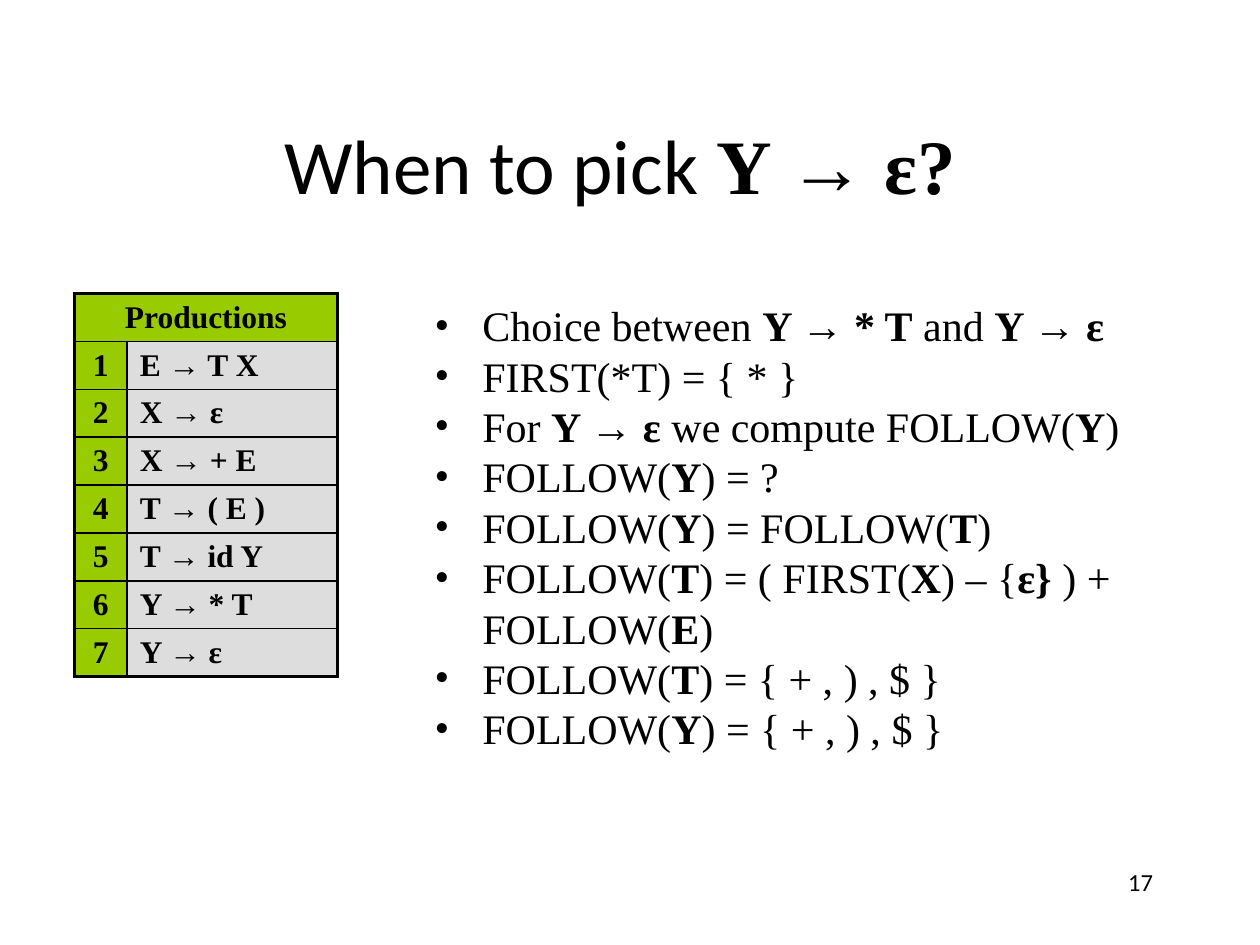
from dataclasses import dataclass

from lxml import etree
from pptx import Presentation
from pptx import util as u
from pptx.dml.color import RGBColor
from pptx.enum import text
from pptx.oxml.ns import qn


@dataclass(frozen=True)
class Theme:
    ink: RGBColor = RGBColor(0x00, 0x00, 0x00)
    green: RGBColor = RGBColor(0x99, 0xCC, 0x00)
    grey: RGBColor = RGBColor(0xDD, 0xDD, 0xDD)
    sans: str = "Calibri"
    serif: str = "Times New Roman"
    title: float = 44
    body: float = 24
    body_line: float = 28.8
    table: float = 18
    number: float = 14
    outer_line: float = 2.25
    inner_line: float = 1


class SlideBuilder:
    """Holds the theme and the current slide. Underscores in text toggle bold."""

    def __init__(self, slide, theme):
        self.slide = slide
        self.theme = theme

    def format_run(self, run, size, font, bold=False):
        run.font.size = u.Pt(size)
        run.font.name = font
        run.font.bold = bold
        run.font.color.rgb = self.theme.ink

    def add_runs(self, paragraph, marked_text, size, font, bold_font=None):
        for index, part in enumerate(marked_text.split("_")):
            if part:
                bold = index % 2 == 1
                run = paragraph.add_run()
                run.text = part
                self.format_run(run, size, bold_font if bold and bold_font else font, bold)

    def text_box(self, left, top, width, height):
        shape = self.slide.shapes.add_textbox(
            u.Inches(left), u.Inches(top), u.Inches(width), u.Inches(height))
        shape.text_frame.word_wrap = True
        return shape.text_frame

    def title(self, marked_text, *box):
        frame = self.text_box(*box)
        frame.vertical_anchor = text.MSO_ANCHOR.MIDDLE
        paragraph = frame.paragraphs[0]
        paragraph.alignment = text.PP_ALIGN.CENTER
        self.add_runs(paragraph, marked_text, self.theme.title, self.theme.sans, self.theme.serif)

    def page_number(self, number, *box):
        paragraph = self.text_box(*box).paragraphs[0]
        paragraph.alignment = text.PP_ALIGN.RIGHT
        self.add_runs(paragraph, number, self.theme.number, self.theme.sans)

    def bullets(self, items, indent, *box):
        frame = self.text_box(*box)
        for index, item in enumerate(items):
            paragraph = frame.add_paragraph() if index else frame.paragraphs[0]
            paragraph.line_spacing = u.Pt(self.theme.body_line)
            properties = paragraph._p.get_or_add_pPr()
            properties.set("marL", str(u.Inches(indent)))
            properties.set("indent", str(-u.Inches(indent)))
            etree.SubElement(properties, qn("a:buFont"), typeface=self.theme.serif)
            etree.SubElement(properties, qn("a:buChar"), char="•")
            self.add_runs(paragraph, item, self.theme.body, self.theme.serif)

    def borders(self, cell, outer_sides):
        properties = cell._tc.get_or_add_tcPr()
        for position, side in enumerate("LRTB"):
            width = self.theme.outer_line if side in outer_sides else self.theme.inner_line
            line = etree.Element(qn(f"a:ln{side}"), w=str(u.Pt(width)))
            fill = etree.SubElement(line, qn("a:solidFill"))
            etree.SubElement(fill, qn("a:srgbClr"), val=str(self.theme.ink))
            properties.insert(position, line)

    def cell(self, cell, content, fill, alignment, outer_sides):
        cell.margin_top = cell.margin_bottom = u.Inches(0.04)
        cell.vertical_anchor = text.MSO_ANCHOR.MIDDLE
        cell.fill.solid()
        cell.fill.fore_color.rgb = fill
        self.borders(cell, outer_sides)
        paragraph = cell.text_frame.paragraphs[0]
        paragraph.text = content
        paragraph.alignment = alignment
        for run in paragraph.runs:
            self.format_run(run, self.theme.table, self.theme.serif, bold=True)

    def productions(self, heading, rules, left, top, column_widths, row_height):
        rows = len(rules) + 1
        table = self.slide.shapes.add_table(
            rows, 2, u.Inches(left), u.Inches(top),
            u.Inches(sum(column_widths)), u.Inches(rows * row_height)).table
        table.first_row = table.horz_banding = False
        for column, width in zip(table.columns, column_widths):
            column.width = u.Inches(width)
        for row in table.rows:
            row.height = u.Inches(row_height)

        # Heading across both columns
        center, left_aligned = text.PP_ALIGN.CENTER, text.PP_ALIGN.LEFT
        table.cell(0, 0).merge(table.cell(0, 1))
        self.cell(table.cell(0, 0), heading, self.theme.green, center, "LRT")
        self.borders(table.cell(0, 1), "RT")

        # Numbered rules
        for number, rule in enumerate(rules, start=1):
            bottom = "B" if number == len(rules) else ""
            self.cell(table.cell(number, 0), str(number), self.theme.green, center, "L" + bottom)
            self.cell(table.cell(number, 1), rule, self.theme.grey, left_aligned, "R" + bottom)


def main():
    presentation = Presentation()
    presentation.slide_width = u.Inches(10)
    presentation.slide_height = u.Inches(7.5)
    slide = presentation.slides.add_slide(presentation.slide_layouts[6])
    builder = SlideBuilder(slide, Theme())

    # Title and page number
    builder.title("When to pick _Y → ε? _", 0.75, 0.67, 8.5, 1.25)
    builder.page_number("17", 7.17, 6.83, 2.08, 0.5)

    # Grammar
    rules = ["E → T X", "X → ε", "X → + E", "T → ( E )", "T → id Y", "Y → * T", "Y → ε"]
    builder.productions("Productions", rules, 0.59, 2.33, (0.42, 1.67), 0.38)

    # Reasoning steps
    steps = [
        "Choice between _Y → * T_ and _Y → ε_",
        "FIRST(*T) = { * }",
        "For _Y → ε_ we compute FOLLOW(_Y_)",
        "FOLLOW(_Y_) = ?",
        "FOLLOW(_Y_) = FOLLOW(_T_)",
        "FOLLOW(_T_) = ( FIRST(_X_) – {_ε} _) + FOLLOW(_E_)",
        "FOLLOW(_T_) = { + , ) , $ }",
        "FOLLOW(_Y_) = { + , ) , $ }",
    ]
    builder.bullets(steps, 0.38, 3.35, 2.33, 6.22, 3.74)

    presentation.save("out.pptx")


if __name__ == "__main__":
    main()
